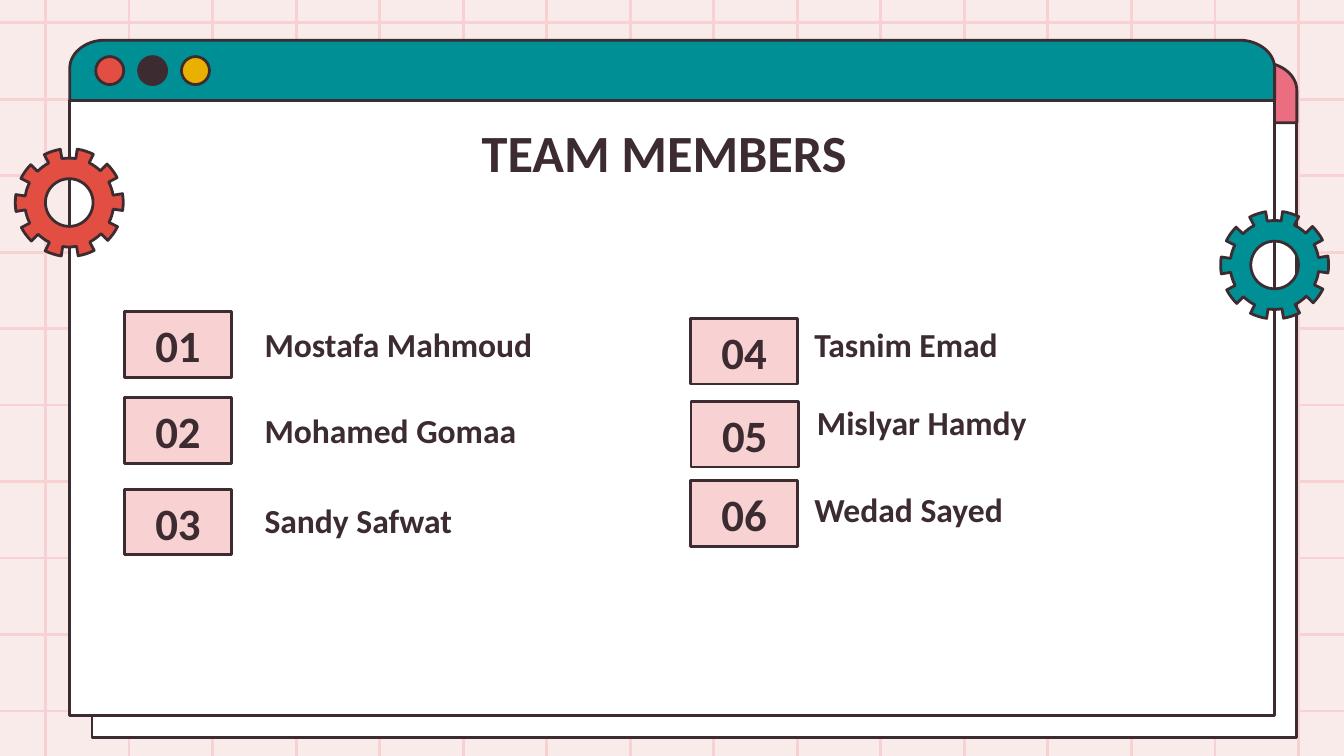
import math
from dataclasses import dataclass

from lxml import etree
from pptx import Presentation
from pptx import util as u
from pptx.dml.color import RGBColor
from pptx.enum import shapes, text
from pptx.oxml.ns import qn


@dataclass(frozen=True)
class Theme:
    font: str = "Calibri"
    backdrop: str = "FAEBEB"
    blush: str = "F8D2D2"
    ink: str = "3C2C31"
    paper: str = "FFFFFF"
    teal: str = "008F95"
    rose: str = "EB6E80"
    red: str = "E24E42"
    amber: str = "E9B000"
    title_size: int = 28
    number_size: int = 24
    name_size: int = 18
    stroke: float = 1.5
    inset: float = 0.25


MEMBERS = [
    ("01", "Mostafa Mahmoud", (2.35, 5.89), (4.75, 5.99)),
    ("02", "Mohamed Gomaa", (2.35, 7.52), (4.75, 7.62)),
    ("03", "Sandy Safwat", (2.35, 9.25), (4.75, 9.32)),
    ("04", "Tasnim Emad", (13.05, 6.02), (15.14, 5.99)),
    ("05", "Mislyar Hamdy", (13.06, 7.59), (15.19, 7.47)),
    ("06", "Wedad Sayed", (13.05, 9.09), (15.14, 9.12)),
]


def box(*lengths):
    return [u.Cm(length) for length in lengths]


def arc(cx, cy, rx, ry, start, end, steps=15):
    angles = [math.radians(start + (end - start) * i / steps) for i in range(steps + 1)]
    return [(cx + rx * math.cos(a), cy + ry * math.sin(a)) for a in angles]


def write(frame, content, *, size, color, font, inset,
          align=text.PP_ALIGN.LEFT, anchor=text.MSO_ANCHOR.MIDDLE):
    frame.word_wrap = True
    frame.auto_size = text.MSO_AUTO_SIZE.NONE
    frame.vertical_anchor = anchor
    frame.margin_left = frame.margin_right = u.Cm(inset)
    frame.margin_top = frame.margin_bottom = u.Cm(inset)
    paragraph = frame.paragraphs[0]
    paragraph.alignment = align
    run = paragraph.add_run()
    run.text = content
    run.font.name = font
    run.font.size = u.Pt(size)
    run.font.bold = True
    run.font.color.rgb = RGBColor.from_string(color)


class Canvas:
    def __init__(self, slide, theme):
        self.slide = slide
        self.theme = theme
        slide.background.fill.solid()
        slide.background.fill.fore_color.rgb = RGBColor.from_string(theme.backdrop)

    def stroke(self, line, color):
        line.color.rgb = RGBColor.from_string(color)
        line.width = u.Pt(self.theme.stroke)

    def paint(self, shape, fill):
        shape.shadow.inherit = False
        shape.fill.solid()
        shape.fill.fore_color.rgb = RGBColor.from_string(fill)
        self.stroke(shape.line, self.theme.ink)
        return shape

    def label(self, frame, content, size, **layout):
        write(frame, content, size=size, color=self.theme.ink,
              font=self.theme.font, inset=self.theme.inset, **layout)

    def preset(self, kind, bounds, fill):
        return self.paint(self.slide.shapes.add_shape(kind, *box(*bounds)), fill)

    def outline(self, contours, fill):
        builder = None
        for contour in contours:
            points = [tuple(box(*point)) for point in contour]
            if builder is None:
                builder = self.slide.shapes.build_freeform(*points[0], scale=1.0)
            else:
                builder.move_to(*points[0])
            builder.add_line_segments(points[1:], close=True)
        return self.paint(builder.convert_to_shape(), fill)

    def grid_line(self, *ends):
        rule = self.slide.shapes.add_connector(shapes.MSO_CONNECTOR.STRAIGHT, *box(*ends))
        self.stroke(rule.line, self.theme.blush)
        etree.SubElement(rule.element.spPr, qn("a:effectLst"))

    def grid(self):
        for column in range(16):
            x = 0.86 + column * 23.68 / 15
            self.grid_line(x, 14.78, x, -0.91)
        for row in range(10):
            y = 0.43 + row * 13.01 / 9
            self.grid_line(-0.56, y, 25.96, y)

    def window(self, left, top, bar_fill):
        width, bar, body, rx, ry = 22.77, 1.14, 11.62, 0.67, 0.53
        right, seam = left + width, top + bar
        self.preset(shapes.MSO_SHAPE.RECTANGLE, (left, seam, width, body), self.theme.paper)
        corners = (arc(left + rx, top + ry, rx, ry, 180, 270)
                   + arc(right - rx, top + ry, rx, ry, 270, 360))
        self.outline([[(left, seam), *corners, (right, seam)]], bar_fill)
        for i, fill in enumerate((self.theme.red, self.theme.ink, self.theme.amber)):
            self.preset(shapes.MSO_SHAPE.OVAL,
                        (left + 0.49 + 0.81 * i, top + 0.31, 0.53, 0.53), fill)

    def gear(self, cx, cy, fill):
        teeth, root, tip, hole = 10, 0.84, 1.02, 0.45
        pitch = 360 / teeth
        rim = []
        for tooth in range(teeth):
            middle = tooth * pitch - 0.5
            for radius, start in ((tip, middle - pitch / 4), (root, middle + pitch / 4)):
                rim += arc(cx, cy, radius, radius, start, start + pitch / 2, steps=4)
        self.outline([rim, arc(cx, cy, hole, hole, 360, 0, steps=60)], fill)

    def title(self, content, bounds):
        heading = self.slide.shapes.title
        heading.left, heading.top, heading.width, heading.height = box(*bounds)
        heading.element.getparent().append(heading.element)
        self.label(heading.text_frame, content, self.theme.title_size,
                   align=text.PP_ALIGN.CENTER, anchor=text.MSO_ANCHOR.TOP)

    def member(self, number, name, number_at, name_at):
        badge = self.preset(shapes.MSO_SHAPE.RECTANGLE, (*number_at, 2.03, 1.24),
                            self.theme.blush)
        self.label(badge.text_frame, number, self.theme.number_size,
                   align=text.PP_ALIGN.CENTER)
        caption = self.slide.shapes.add_textbox(*box(*name_at, 7.95, 1.14))
        self.label(caption.text_frame, name, self.theme.name_size,
                   anchor=text.MSO_ANCHOR.BOTTOM)


def main():
    deck = Presentation()
    deck.slide_width, deck.slide_height = box(25.4, 14.29)
    theme = Theme()
    canvas = Canvas(deck.slides.add_slide(deck.slide_layouts[5]), theme)
    canvas.grid()
    canvas.window(1.74, 1.18, theme.rose)
    canvas.window(1.32, 0.76, theme.teal)
    canvas.title("TEAM MEMBERS", (2.34, 2.03, 20.42, 1.6))
    for member in MEMBERS:
        canvas.member(*member)
    canvas.gear(1.31, 3.83, theme.red)
    canvas.gear(24.09, 5.01, theme.teal)
    deck.save("out.pptx")


if __name__ == "__main__":
    main()
